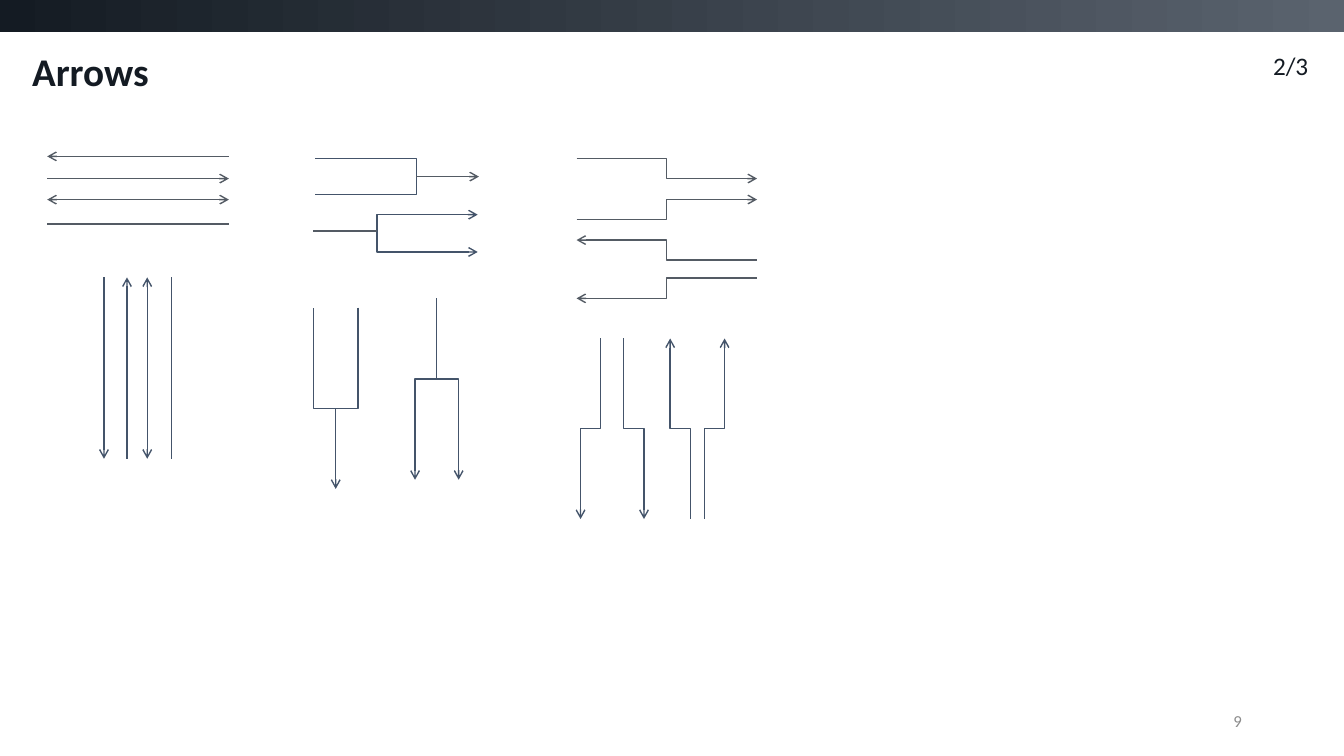
from lxml.etree import SubElement
from pptx import Presentation
from pptx.dml.color import RGBColor as Rgb
from pptx.enum.shapes import MSO_CONNECTOR as Link, MSO_SHAPE as Shape
from pptx.enum.text import MSO_ANCHOR as Anchor, PP_ALIGN as Align
from pptx.oxml.ns import qn
from pptx.util import Cm, Pt

HUES = {"ink": "141B23", "steel": "5A636E", "gray": "8C8C8C",
        "across": "545B64", "down": "44546A"}
BOTH = ("head", "tail")
HEAD, TAIL, NONE = ("head",), ("tail",), ()

TEXTS = [
    ("Arrows", (0.56, 1.09, 18.14, 1.55), 28, "ink", True, Align.LEFT, Anchor.MIDDLE, 0.9, 0),
    ("2/3", (30.3, 1.22, 2.92, 1.3), 18, "ink", False, Align.RIGHT, Anchor.TOP, 0.9, 10),
    ("9", (23.93, 17.65, 7.62, 1.02), 12, "gray", False, Align.RIGHT, Anchor.MIDDLE, 1, 0),
]
# way, start, end, then (side at start, side at end, arrowheads)
ARROWS = [
    ("across", 1.19, 5.77, [(3.94, 3.94, HEAD), (4.5, 4.5, TAIL),
                            (5.03, 5.03, BOTH), (5.64, 5.64, NONE)]),
    ("down", 11.56, 6.99, [(2.62, 2.62, HEAD), (3.2, 3.2, TAIL),
                           (3.71, 3.71, BOTH), (4.32, 4.32, NONE)]),
    ("across", 14.53, 19.08, [(3.99, 4.5, TAIL), (5.54, 5.03, TAIL),
                              (6.05, 6.55, HEAD), (7.52, 7.01, HEAD)]),
    ("down", 8.53, 13.08, [(15.14, 14.63, TAIL), (15.72, 16.23, TAIL),
                           (18.26, 17.75, HEAD), (16.89, 17.4, HEAD)]),
]
# way, open end, bar, stem end, arms, stem side, arrowheads on arms and stem
FORKS = [
    ("down", 7.75, 10.29, 12.32, (9.02, 7.9), 8.46, NONE, TAIL),
    ("down", 12.09, 9.55, 7.52, (10.46, 11.56), 11, BOTH, NONE),
    ("across", 7.95, 10.49, 12.07, (3.99, 4.9), 4.45, NONE, TAIL),
    ("across", 12.04, 9.5, 7.9, (6.35, 5.41), 5.82, BOTH, NONE),
]


def color(name):
    return Rgb.from_string(HUES[name])


def place(way, along, side):
    return (along, side) if way == "across" else (side, along)


def style(item, hue, marks):
    item.line.color.rgb = color(hue)
    item.line.width = Pt(1)
    line = item.line._get_or_add_ln()
    for end in marks:
        SubElement(line, qn(f"a:{end}End"), type="arrow")


def join(shapes, way, start, end, sides, marks):
    bent = sides[0] != sides[1]
    ends = [place(way, a, s) for a, s in zip((start, end), sides)]
    turn = bent and way == "down"
    if turn:
        mx, my = (sum(v) / 2 for v in zip(*ends))
        ends = [(mx + y - my, my - x + mx) for x, y in ends]
    spots = [Cm(v) for spot in ends for v in spot]
    link = shapes.add_connector(Link.ELBOW if bent else Link.STRAIGHT, *spots)
    style(link, way, marks)
    props = link._element.spPr
    SubElement(props, qn("a:effectLst"))
    if turn:
        props.find(qn("a:xfrm")).set("rot", "5400000")


def fork(shapes, way, tip, bar, end, arms, side, marks, stem):
    group = shapes.add_group_shape().shapes
    spots = [(tip, arms[0]), (bar, arms[0]), (bar, arms[1]), (tip, arms[1])]
    first, *rest = [tuple(Cm(v) for v in place(way, *s)) for s in spots]
    pen = group.build_freeform(*first)
    pen.add_line_segments(rest, close=False)
    prong = pen.convert_to_shape()
    prong.shadow.inherit = False
    prong.fill.background()
    style(prong, "down", marks)
    join(group, way, bar, end, (side, side), stem)


def write(shapes, text, box, size, hue, bold, align, anchor, lead, gap):
    frame = shapes.add_textbox(*map(Cm, box)).text_frame
    frame.word_wrap = True
    frame.vertical_anchor = anchor
    par = frame.paragraphs[0]
    par.text = text
    par.alignment, par.line_spacing, par.space_before = align, lead, Pt(gap)
    font = par.font
    font.name, font.size, font.bold = "Calibri", Pt(size), bold
    font.color.rgb = color(hue)


def band(shapes, width):
    bar = shapes.add_shape(Shape.RECTANGLE, 0, 0, width, Cm(0.81))
    bar.shadow.inherit = False
    bar.line.fill.background()
    bar.fill.gradient()
    bar.fill.gradient_angle = 0
    for stop, hue, spot in zip(bar.fill.gradient_stops, ("ink", "steel"), (0, 1)):
        stop.color.rgb = color(hue)
        stop.position = spot


def main():
    """Build the slide of straight, bent and forked arrows."""
    deck = Presentation()
    deck.slide_width, deck.slide_height = Cm(33.87), Cm(19.05)
    shapes = deck.slides.add_slide(deck.slide_layouts[6]).shapes
    band(shapes, deck.slide_width)
    for row in TEXTS:
        write(shapes, *row)
    for way, start, end, rows in ARROWS:
        for *sides, marks in rows:
            join(shapes, way, start, end, sides, marks)
    for row in FORKS:
        fork(shapes, *row)
    deck.save("out.pptx")


if __name__ == "__main__":
    main()
